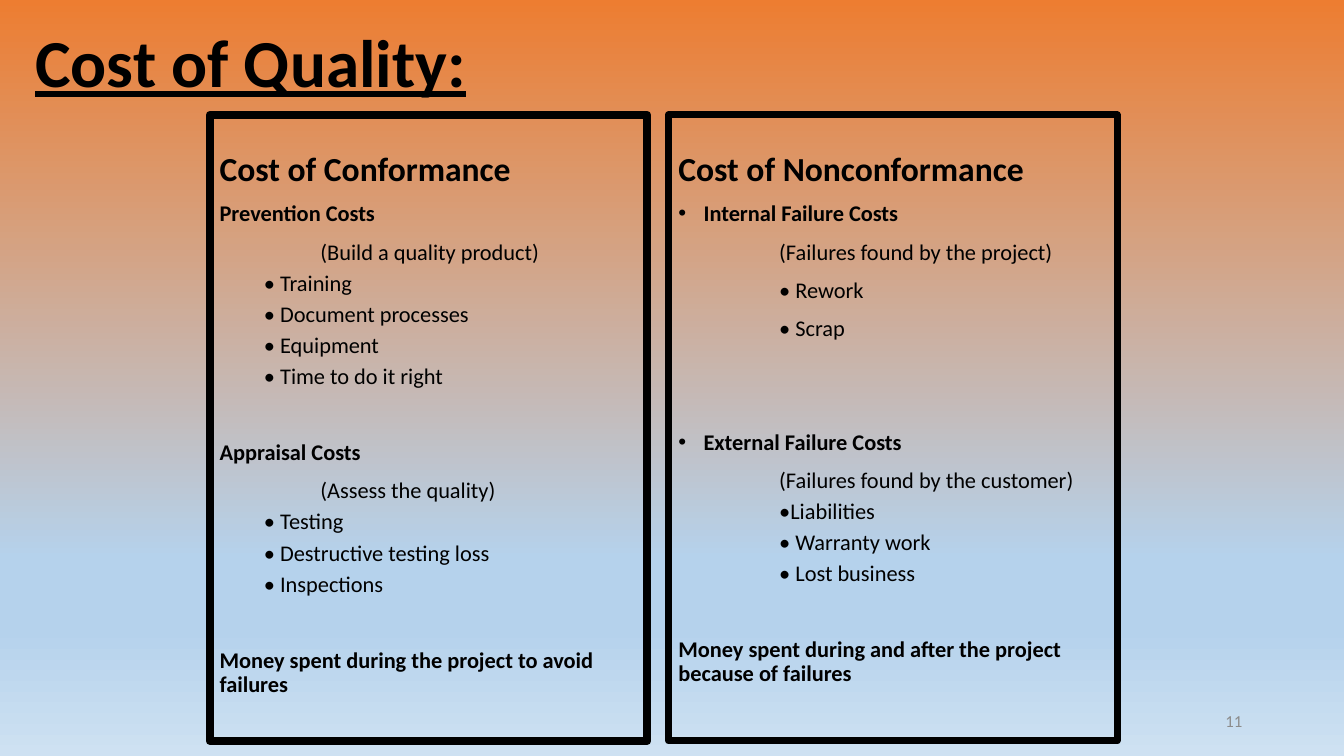
from lxml import etree
from pptx import Presentation
from pptx.dml.color import RGBColor
from pptx.enum import shapes, text
from pptx.oxml import ns
from pptx.util import Inches, Pt

BLACK, GREY = "000000", "8C8C8C"
BACKGROUND_STOPS = [(0, "ED7D31"), (74, "B5D2EC"), (83, "B5D2EC"), (100, "CEE1F2")]
PLAIN = {"size": Pt(16), "bold": False}
STRONG = {"size": Pt(16), "bold": True}
HEADING = {"size": Pt(24), "bold": True}
AFTER_ONE_LINE, AFTER_TWO_LINES = 37, 64

CONFORMANCE = [
    ("Cost of Conformance", HEADING, 0, 0),
    ("Prevention Costs", STRONG, 0, 10),
    ("(Build a quality product)", PLAIN, 1, 10),
    ("• Training", PLAIN, 0.44, 5),
    ("• Document processes", PLAIN, 0.44, 5),
    ("• Equipment", PLAIN, 0.44, 5),
    ("• Time to do it right", PLAIN, 0.44, 5),
    ("Appraisal Costs", STRONG, 0, AFTER_ONE_LINE),
    ("(Assess the quality)", PLAIN, 1, 10),
    ("• Testing", PLAIN, 0.44, 5),
    ("• Destructive testing loss", PLAIN, 0.44, 5),
    ("• Inspections", PLAIN, 0.44, 5),
    ("Money spent during the project to avoid failures", STRONG, 0, AFTER_ONE_LINE),
]
NONCONFORMANCE = [
    ("Cost of Nonconformance", HEADING, 0, 0),
    ("Internal Failure Costs", STRONG, 0.25, 10),
    ("(Failures found by the project)", PLAIN, 1, 10),
    ("• Rework", PLAIN, 1, 10),
    ("• Scrap", PLAIN, 1, 10),
    ("External Failure Costs", STRONG, 0.25, AFTER_TWO_LINES),
    ("(Failures found by the customer)", PLAIN, 1, 10),
    ("•Liabilities", PLAIN, 1, 5),
    ("• Warranty work", PLAIN, 1, 5),
    ("• Lost business", PLAIN, 1, 5),
    ("Money spent during and after the project because of failures", STRONG, 0, AFTER_ONE_LINE),
]
BULLET_INDENT = 0.25


def paint(color, value):
    """Set a colour from a hex string."""
    color.rgb = RGBColor.from_string(value)


def set_attributes(target, values):
    """Set every attribute named in a dict."""
    for name, value in values.items():
        setattr(target, name, value)


def format_font(paragraph, values, color=BLACK):
    """Give a paragraph its font and colour."""
    set_attributes(paragraph.font, {"name": "Calibri", **values})
    paint(paragraph.font.color, color)


def indent(paragraph, left):
    """Indent a paragraph, with a hanging bullet at the bullet indent."""
    properties = paragraph._p.get_or_add_pPr()
    bulleted = left == BULLET_INDENT
    properties.set("marL", str(Inches(left)))
    properties.set("indent", str(Inches(-left if bulleted else 0)))
    if bulleted:
        etree.SubElement(properties, ns.qn("a:buFont")).set("typeface", "Arial")
        etree.SubElement(properties, ns.qn("a:buChar")).set("char", "•")


def fill_background(slide):
    """Fill the slide with a downward gradient."""
    fill = slide.background.fill
    fill.gradient()
    fill.gradient_angle = 270
    stops = slide._element.find(".//" + ns.qn("a:gsLst"))
    for stop in list(stops):
        stops.remove(stop)
    for percent, color in BACKGROUND_STOPS:
        stop = etree.SubElement(stops, ns.qn("a:gs"), pos=str(percent * 1000))
        etree.SubElement(stop, ns.qn("a:srgbClr"), val=color)


def place_title(slide, words):
    """Move and format the title placeholder."""
    title = slide.shapes.title
    set_attributes(title, {"left": Inches(0.25), "top": Inches(0.22),
                           "width": Inches(8.52), "height": Inches(0.84)})
    frame = title.text_frame
    frame.text = words
    set_attributes(frame, {"vertical_anchor": text.MSO_ANCHOR.BOTTOM, "word_wrap": True,
                           "auto_size": text.MSO_AUTO_SIZE.NONE})
    heading = frame.paragraphs[0]
    set_attributes(heading, {"alignment": text.PP_ALIGN.LEFT, "line_spacing": 0.9})
    format_font(heading, {"size": Pt(48), "bold": True, "underline": True})


def add_cost_panel(slide, left, width, border, entries):
    """Add an outlined panel that lists one kind of cost."""
    panel = slide.shapes.add_shape(shapes.MSO_SHAPE.RECTANGLE, Inches(left), Inches(1.14),
                                   Inches(width), Inches(6.21))
    panel.shadow.inherit = False
    panel.fill.background()
    paint(panel.line.color, BLACK)
    panel.line.width = Pt(border)
    frame = panel.text_frame
    set_attributes(frame, {"word_wrap": True, "vertical_anchor": text.MSO_ANCHOR.TOP,
                           "margin_top": Inches(0.37)})
    for index, (words, font, left_indent, space) in enumerate(entries):
        entry = frame.add_paragraph() if index else frame.paragraphs[0]
        entry.text = words
        set_attributes(entry, {"alignment": text.PP_ALIGN.LEFT, "line_spacing": 0.9,
                               "space_before": Pt(space)})
        indent(entry, left_indent)
        format_font(entry, font)


def add_page_number(slide, number):
    """Add the page number at the lower right."""
    box = slide.shapes.add_textbox(Inches(9.42), Inches(6.95), Inches(3), Inches(0.4))
    frame = box.text_frame
    frame.text = number
    set_attributes(frame, {"word_wrap": True, "vertical_anchor": text.MSO_ANCHOR.MIDDLE})
    frame.paragraphs[0].alignment = text.PP_ALIGN.RIGHT
    format_font(frame.paragraphs[0], {"size": Pt(12)}, GREY)


def main():
    """Build the slide and save it."""
    deck = Presentation()
    set_attributes(deck, {"slide_width": Inches(13.33), "slide_height": Inches(7.5)})
    slide = deck.slides.add_slide(deck.slide_layouts.get_by_name("Title Only"))
    fill_background(slide)
    place_title(slide, "Cost of Quality:")
    add_cost_panel(slide, 2.08, 4.34, 5.75, CONFORMANCE)
    add_cost_panel(slide, 6.63, 4.45, 5, NONCONFORMANCE)
    add_page_number(slide, "11")
    deck.save("out.pptx")


if __name__ == "__main__":
    main()
